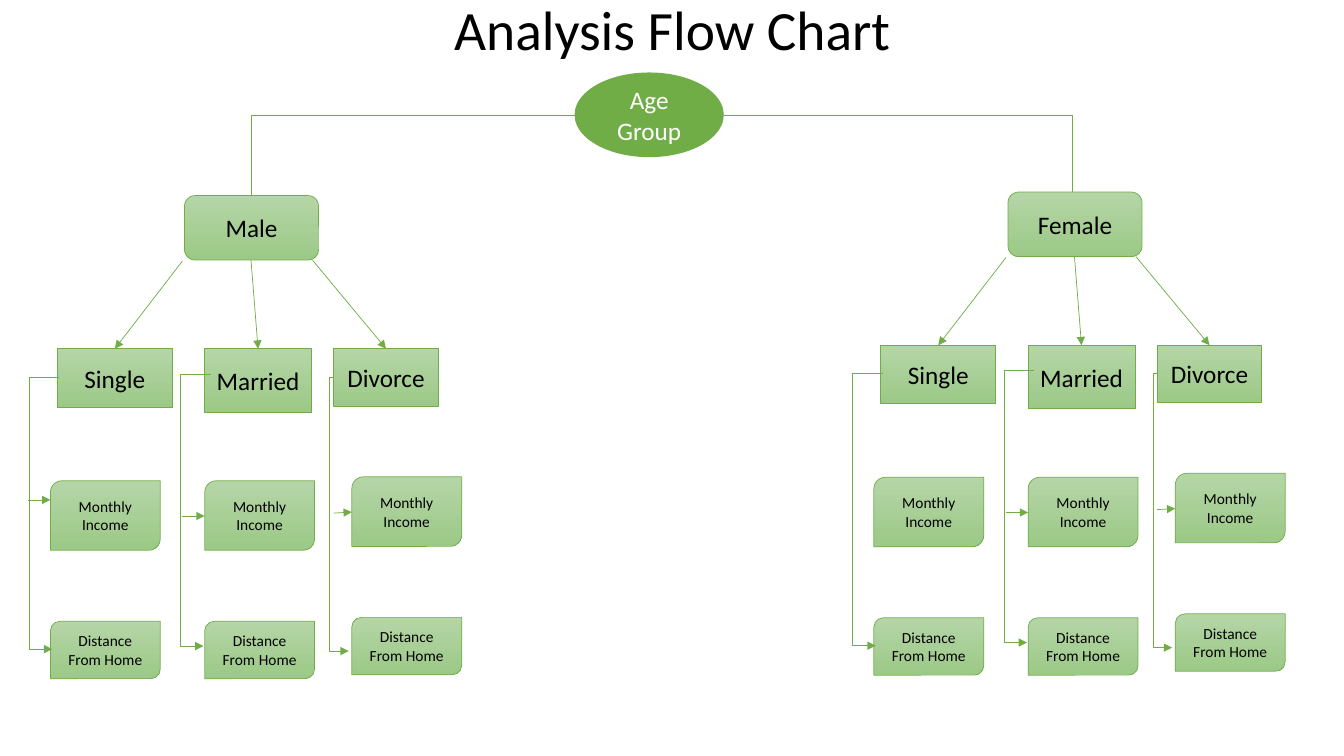
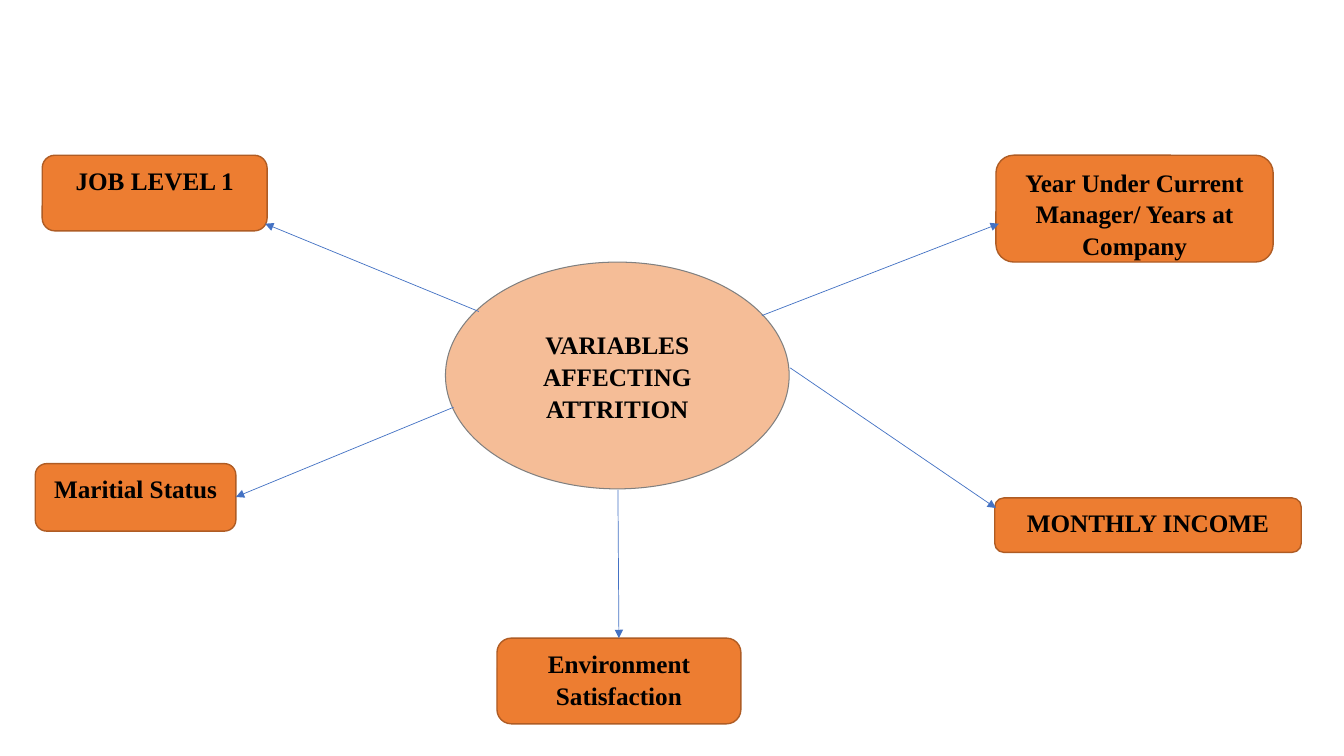
"""Build two slides: an analysis flow chart and a map of attrition variables."""
from lxml import etree
from pptx import Presentation
from pptx.dml.color import RGBColor
from pptx.enum.shapes import MSO_CONNECTOR, MSO_SHAPE
from pptx.enum.text import MSO_ANCHOR, PP_ALIGN
from pptx.oxml.ns import qn
from pptx.util import Pt

RECT, ROUND, OVAL = MSO_SHAPE.RECTANGLE, MSO_SHAPE.ROUNDED_RECTANGLE, MSO_SHAPE.OVAL
LEAF = MSO_SHAPE.ROUND_2_DIAG_RECTANGLE
STRAIGHT, ELBOW = MSO_CONNECTOR.STRAIGHT, MSO_CONNECTOR.ELBOW
CENTER, TOP, MIDDLE = PP_ALIGN.CENTER, MSO_ANCHOR.TOP, MSO_ANCHOR.MIDDLE
SANS, SERIF = "Calibri", "Times New Roman"
BLACK, WHITE, GREEN, BLUE = "000000", "FFFFFF", "70AD47", "4472C4"
ORANGE, RUST, GRAY = "ED7D31", "AF5C24", "808080"
SHADE = ("B5D5A7", "9CC987")
rgb = RGBColor.from_string


def box(s, kind, x, y, w, h, text, fill=SHADE, line=GREEN, weight=0.5, size=18,
        color=BLACK, font=SANS, bold=False, anchor=MIDDLE, spacing=1.0):
    """Add a labelled shape; a pair of fill colours makes a vertical gradient."""
    sp = s.shapes.add_shape(kind, Pt(x), Pt(y), Pt(w), Pt(h))
    sp.shadow.inherit = False
    if isinstance(fill, tuple):
        sp.fill.gradient()
        sp.fill.gradient_angle = 270
        for stop, shade in zip(sp.fill.gradient_stops, fill):
            stop.color.rgb = rgb(shade)
    else:
        sp.fill.solid()
        sp.fill.fore_color.rgb = rgb(fill)
    if line:
        sp.line.color.rgb = rgb(line)
        sp.line.width = Pt(weight)
    else:
        sp.line.fill.background()
    tf = sp.text_frame
    tf.word_wrap = True
    tf.vertical_anchor = anchor
    p = tf.paragraphs[0]
    p.alignment = CENTER
    p.line_spacing = spacing
    r = p.add_run()
    r.text = text
    r.font.name, r.font.size, r.font.bold = font, Pt(size), bold
    r.font.color.rgb = rgb(color)
    return sp


def link(s, x1, y1, x2, y2, color=GREEN, bend=None, arrow=True):
    """Add a connector; bend is the x of the vertical part of an elbow."""
    kind = STRAIGHT if bend is None else ELBOW
    c = s.shapes.add_connector(kind, Pt(x1), Pt(y1), Pt(x2), Pt(y2))
    c.line.color.rgb = rgb(color)
    c.line.width = Pt(0.5)
    spPr = c._element.spPr
    if bend is not None:
        adj = round((bend - x1) / (x2 - x1) * 100000)
        av = spPr.find(qn("a:prstGeom")).get_or_add_avLst()
        etree.SubElement(av, qn("a:gd"), name="adj1", fmla=f"val {adj}")
    if arrow:
        etree.SubElement(spPr.find(qn("a:ln")), qn("a:tailEnd"), type="triangle")
    etree.SubElement(spPr, qn("a:effectLst"))


prs = Presentation()
prs.slide_width, prs.slide_height = Pt(960), Pt(540)
blank = prs.slide_layouts[6]

s = prs.slides.add_slide(blank)
tf = s.shapes.add_textbox(Pt(8.6), Pt(-0.7), Pt(943.2), Pt(50.4)).text_frame
tf.word_wrap = True
tf.vertical_anchor = MIDDLE
p = tf.paragraphs[0]
p.alignment = CENTER
p.line_spacing = 0.8
r = p.add_run()
r.text = "Analysis Flow Chart"
r.font.name, r.font.size = SANS, Pt(39.6)
r.font.color.rgb = rgb(BLACK)

box(s, OVAL, 410.4, 51.8, 106.6, 60.5, "Age Group", fill=GREEN, line=None, color=WHITE)
link(s, 410.4, 82.1, 179.3, 139.7, bend=179.3, arrow=False)
link(s, 517, 82.1, 766.1, 137.2, bend=766.1, arrow=False)

STATUS_TOP = 249.1
statuses = [
    ("Single", 41, 82.1, 41.8, (130.3, 186.5), 36, 343.4, (42.5, 269.3, 37.4, 463.7), 20.9),
    ("Married", 146.2, 76.3, 45.4, (179.3, 185.8), 146.2, 343.4,
     (150.5, 267.1, 145.4, 461.5), 128.9),
    ("Divorce", 238.3, 74.9, 41, (223.2, 185.8), 251.3, 340.6,
     (238.3, 269.3, 249.1, 465.1), 235.4),
]
income_arrows = [(20.2, 357.1, 36, 357.1), (130.3, 368.6, 146.2, 368.6),
                 (238.3, 366.5, 251.3, 365.8)]

for gender, dx, dy, arrows in [("Male", 0, 0, income_arrows),
                               ("Female", 588.2, -2.5, income_arrows[1:])]:
    box(s, ROUND, 131.8 + dx, 139.7 + dy, 95.8, 46.1, gender)
    for status, x, w, h, (x1, y1), leaf_x, leaf_y, (ex1, ey1, ex2, ey2), bend in statuses:
        box(s, RECT, x + dx, STATUS_TOP + dy, w, h, status)
        link(s, x1 + dx, y1 + dy, x + w / 2 + dx, STATUS_TOP + dy)
        box(s, LEAF, leaf_x + dx, leaf_y + dy, 78.5, 49.7, "Monthly Income", size=11)
        box(s, LEAF, leaf_x + dx, leaf_y + 100.4 + dy, 78.5, 41, "Distance From Home", size=11)
        link(s, ex1 + dx, ey1 + dy, ex2 + dx, ey2 + dy, bend=bend + dx)
    for x1, y1, x2, y2 in arrows:
        link(s, x1 + dx, y1 + dy, x2 + dx, y2 + dy)

s = prs.slides.add_slide(blank)
style = dict(fill=ORANGE, font=SERIF, bold=True, spacing=1.05)
hub = box(s, OVAL, 318.2, 187.2, 245.5, 162, "VARIABLES AFFECTING ATTRITION",
          line=GRAY, weight=0.75, **style)
tint = hub._element.spPr.find(qn("a:solidFill")).find(qn("a:srgbClr"))
etree.SubElement(tint, qn("a:alpha"), val="50000")

for text, place, ends in [
    ("JOB LEVEL 1", (30.2, 110.9, 160.6, 54), (342, 222.5, 189.4, 159.8)),
    ("MONTHLY INCOME", (710.6, 355.7, 218.9, 38.9), (564.5, 262.8, 711.4, 362.9)),
    ("Maritial Status", (25.2, 331.2, 143.3, 48.2), (324, 290.9, 168.5, 355)),
    ("Environment Satisfaction", (355, 455.8, 174.2, 61.2), (441.4, 349.9, 442.1, 455.8)),
    ("Year Under Current Manager/ Years at Company", (711.4, 110.9, 198, 76.3),
     (544.3, 225.4, 713.5, 159.8)),
]:
    box(s, ROUND, *place, text, line=RUST, weight=1, anchor=TOP, **style)
    link(s, *ends, color=BLUE)

prs.save("out.pptx")
